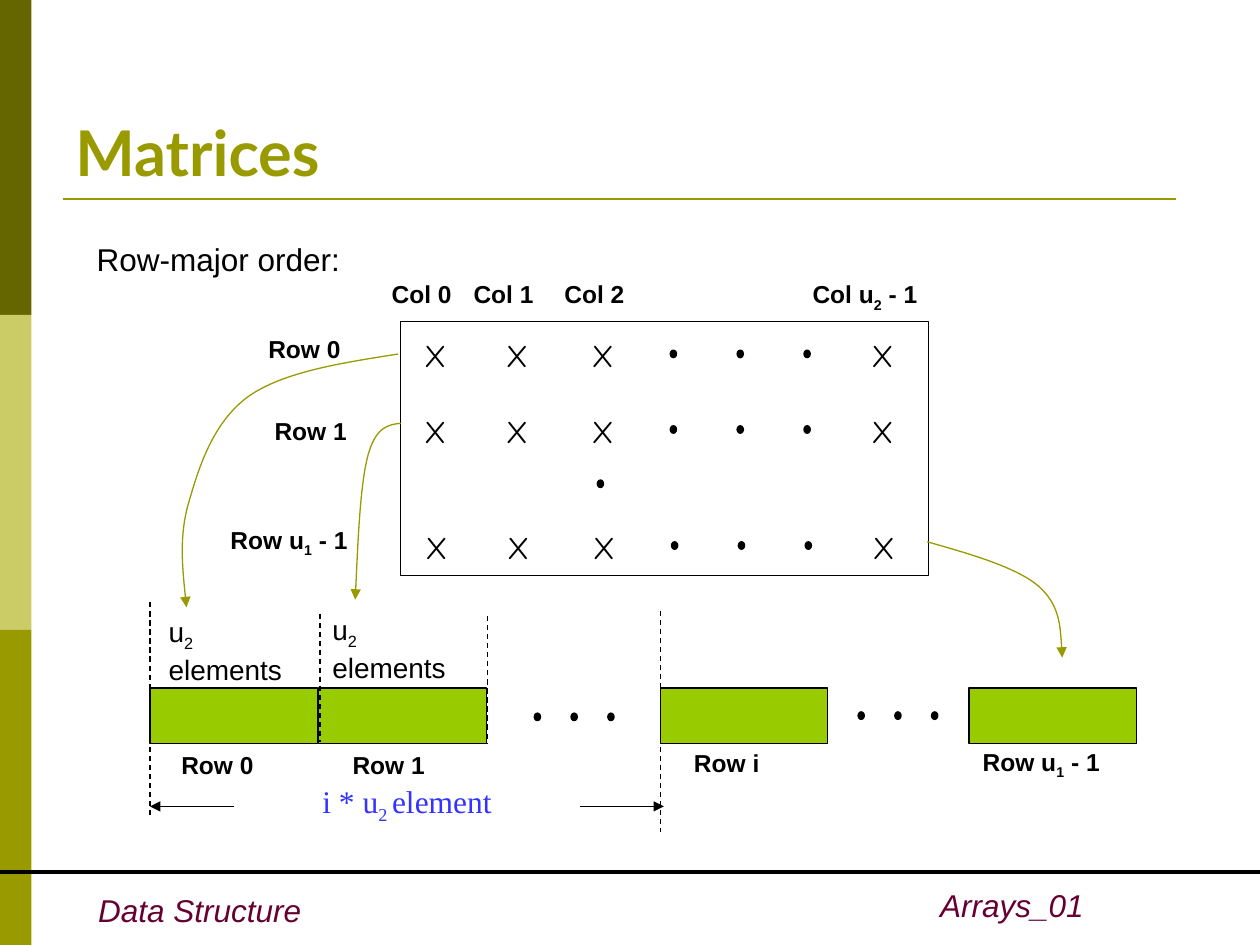
from lxml import etree
from pptx import Presentation
from pptx.dml.color import RGBColor
from pptx.enum.dml import MSO_LINE
from pptx.enum.shapes import MSO_CONNECTOR, MSO_SHAPE
from pptx.enum.text import MSO_ANCHOR, MSO_AUTO_SIZE, PP_ALIGN
from pptx.oxml.ns import qn
from pptx.util import Pt

RECTANGLE, OVAL = MSO_SHAPE.RECTANGLE, MSO_SHAPE.OVAL
STRAIGHT, DASH = MSO_CONNECTOR.STRAIGHT, MSO_LINE.DASH
LEFT, RIGHT = PP_ALIGN.LEFT, PP_ALIGN.RIGHT
TOP, BOTTOM = MSO_ANCHOR.TOP, MSO_ANCHOR.BOTTOM
FIT, FIXED = MSO_AUTO_SIZE.SHAPE_TO_FIT_TEXT, MSO_AUTO_SIZE.NONE

BLACK = RGBColor(0x00, 0x00, 0x00)
DARK_OLIVE = RGBColor(0x66, 0x66, 0x00)
PALE_OLIVE = RGBColor(0xCC, 0xCC, 0x66)
OLIVE = RGBColor(0x99, 0x99, 0x00)
GREEN = RGBColor(0x99, 0xCC, 0x00)
PLUM = RGBColor(0x66, 0x00, 0x33)
BLUE = RGBColor(0x33, 0x33, 0xFF)

# In every list of runs, each second run is a subscript.
LAST_ROW = ["Row u", "1", " - 1"]
LABELS = [  # runs, left, top, width
    (["Col 0"], 216.7, 156.2, 62),
    (["Col 1"], 263.5, 156.2, 62),
    (["Col 2"], 315.4, 156.2, 62),
    (["Col u", "2", " - 1"], 457.2, 156.2, 87.8),
    (["Row 0"], 146.2, 187.2, 70.6),
    (["Row 1"], 149.8, 234, 67.7),
    (LAST_ROW, 124.6, 296.6, 92.9),
    (["Row 0"], 96.5, 424.8, 70.6),
    (["Row 1"], 194.4, 424.8, 67.7),
    (["Row i"], 389.5, 424.1, 67.7),
    (LAST_ROW, 554.4, 423.4, 92.2),
]
BLOCK_SIZE = [(["u", "2"]), (["elements"])]
BLOCK_SIZE_PLACES = [(89.3, 347.8), (182.9, 346.3)]

MATRIX = (229, 183.6, 301.7, 145.4)
MATRIX_ROWS = [(0, 188.6), (0, 231.8), (0.7, 298.1)]  # shift right, top
MATRIX_COLUMNS = [235.4, 282.2, 331.2, 491]

BLOCKS = [85.7, 182.2, 377.3, 553.7]
DIVIDERS = [  # x, top, bottom
    (85.7, 344.2, 466.6),
    (182.9, 350.6, 424.1),
    (278.6, 352.1, 424.8),
    (377.3, 349.2, 475.2),
]
SPAN_ARROWS = [(133.9, 85.7), (331.2, 379.4)]
CURVES = [  # start point, then three points for each Bezier segment
    [(227.5, 202.3), (195.1, 207.4), (162.7, 212.4), (142.6, 226.1),
     (123.1, 239.8), (114.5, 264.2), (108.7, 284.4),
     (102.2, 304.6), (104.4, 326.2), (106.6, 347)],
    [(229, 241.9), (221.8, 242.6), (214.6, 244.1), (210.2, 260.6),
     (205.9, 277.2), (204.5, 310.3), (203, 342.7)],
    [(529.9, 309.6), (555.1, 316.8), (580.3, 324), (593.3, 334.8),
     (605.5, 345.6), (606.2, 360.7), (607, 375.8)],
]

presentation = Presentation()
presentation.slide_width, presentation.slide_height = Pt(720), Pt(540)
slide = presentation.slides.add_slide(presentation.slide_layouts[6])


def add_text(paragraphs, left, top, width, height, size, font="Arial", color=BLACK,
             bold=False, italic=False, wrap=True, align=LEFT, anchor=TOP, fit=FIT):
    box = slide.shapes.add_textbox(Pt(left), Pt(top), Pt(width), Pt(height))
    frame = box.text_frame
    frame.word_wrap, frame.auto_size, frame.vertical_anchor = wrap, fit, anchor
    for number, runs in enumerate(paragraphs):
        paragraph = frame.add_paragraph() if number else frame.paragraphs[0]
        paragraph.alignment = align
        for position, text in enumerate(runs):
            run = paragraph.add_run()
            run.text = text
            run.font.name, run.font.size = font, Pt(size)
            run.font.bold, run.font.italic = bold, italic
            run.font.color.rgb = color
            if position % 2:
                run.font._element.set("baseline", "-25000")


def add_shape(kind, left, top, width, height, fill=None, line=BLACK):
    shape = slide.shapes.add_shape(kind, Pt(left), Pt(top), Pt(width), Pt(height))
    shape.shadow.inherit = False
    if fill is None:
        shape.fill.background()
    else:
        shape.fill.solid()
        shape.fill.fore_color.rgb = fill
    if line is None:
        shape.line.fill.background()
    else:
        shape.line.color.rgb = line
        shape.line.width = Pt(0.75)


def add_dots(left, top, step=0, count=3):
    for number in range(count):
        add_shape(OVAL, left + number * step, top, 3.6, 4.3, BLACK)


def add_arrowhead(line):
    etree.SubElement(line._get_or_add_ln(), qn("a:tailEnd"), type="triangle")


def add_line(x1, y1, x2, y2, color=BLACK, width=0.75, dash=None, arrow=False):
    connector = slide.shapes.add_connector(STRAIGHT, Pt(x1), Pt(y1), Pt(x2), Pt(y2))
    connector.line.color.rgb = color
    connector.line.width = Pt(width)
    if dash:
        connector.line.dash_style = dash
    if arrow:
        add_arrowhead(connector.line)
    etree.SubElement(connector._element.spPr, qn("a:effectLst"))


def add_curve(points):
    """Draw an open outline and turn each three line segments into one Bezier curve."""
    start, *others = [(Pt(x), Pt(y)) for x, y in points]
    builder = slide.shapes.build_freeform(*start)
    builder.add_line_segments(others, close=False)
    curve = builder.convert_to_shape()
    outline = curve._element.find(".//" + qn("a:path"))
    segments = outline.findall(qn("a:lnTo"))
    for first in range(0, len(segments), 3):
        bezier = etree.SubElement(outline, qn("a:cubicBezTo"))
        for segment in segments[first:first + 3]:
            bezier.append(segment[0])
            outline.remove(segment)
    curve.shadow.inherit = False
    curve.fill.background()
    curve.line.color.rgb = OLIVE
    curve.line.width = Pt(0.75)
    add_arrowhead(curve.line)


# Frame of the slide
for number, color in enumerate([DARK_OLIVE, PALE_OLIVE, OLIVE]):
    add_shape(RECTANGLE, 0, 180 * number, 18, 180, color, None)
add_line(36, 113.8, 671.8, 113.8, OLIVE, 1.5)
add_text([["Data Structure"]], 49, 505.4, 130.3, 28.8, 18, color=PLUM,
         italic=True, wrap=False)
add_text([["Arrays_01"]], 501.8, 502.6, 124.6, 28.8, 18, color=PLUM,
         italic=True, align=RIGHT)
add_line(0, 498.2, 720, 498.2, BLACK, 2.25)
add_text([["Matrices"]], 36, 21.6, 648, 90, 36, "Lato", OLIVE, bold=True,
         anchor=BOTTOM, fit=FIXED)
add_text([["Row-major order:"]], 48.2, 133.9, 153.4, 28.8, 18, wrap=False)

# Matrix
add_shape(RECTANGLE, *MATRIX)
for shift, top in MATRIX_ROWS:
    for left in MATRIX_COLUMNS:
        add_text([["X"]], left + shift, top, 26.6, 28.8, 18, "Comic Neue", wrap=False)
    add_dots(383 + shift, top + 11.5, 38.2)
add_dots(341.3, 274.3, count=1)

# Memory blocks
for left in BLOCKS:
    add_shape(RECTANGLE, left, 393.1, 95.8, 31.7, GREEN)
add_dots(305.3, 407.5, 21)
add_dots(490.3, 406.8, 21)
for x, top, bottom in DIVIDERS:
    add_line(x, top, x, bottom, dash=DASH)
for left, top in BLOCK_SIZE_PLACES:
    add_text(BLOCK_SIZE, left, top, 79.2, 48.2, 16, wrap=False)
for runs, left, top, width in LABELS:
    add_text([runs], left, top, width, 24.5, 14, bold=True)
for start, end in SPAN_ARROWS:
    add_line(start, 460.8, end, 460.8, arrow=True)
add_text([["i * u", "2 ", "element"]], 177.1, 443.5, 159.8, 31.7, 18,
         "Times New Roman", BLUE)
for points in CURVES:
    add_curve(points)

presentation.save("out.pptx")
